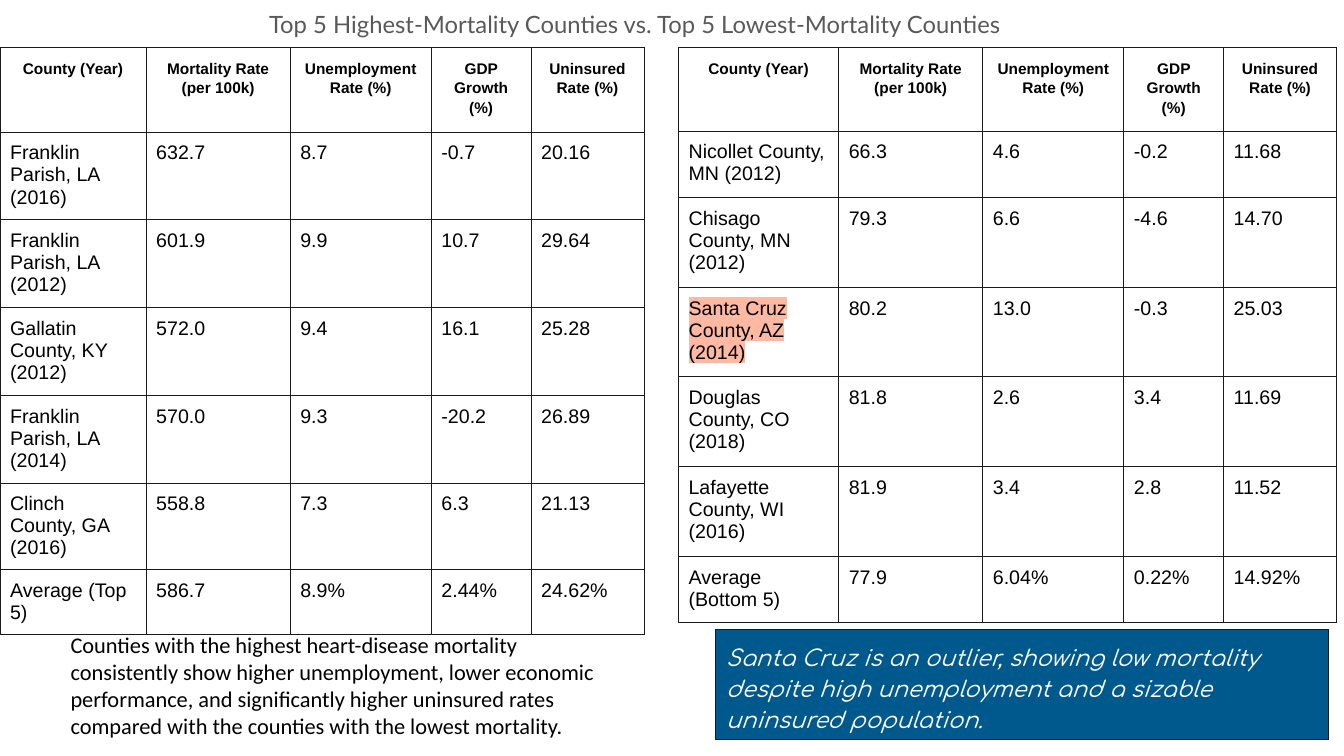
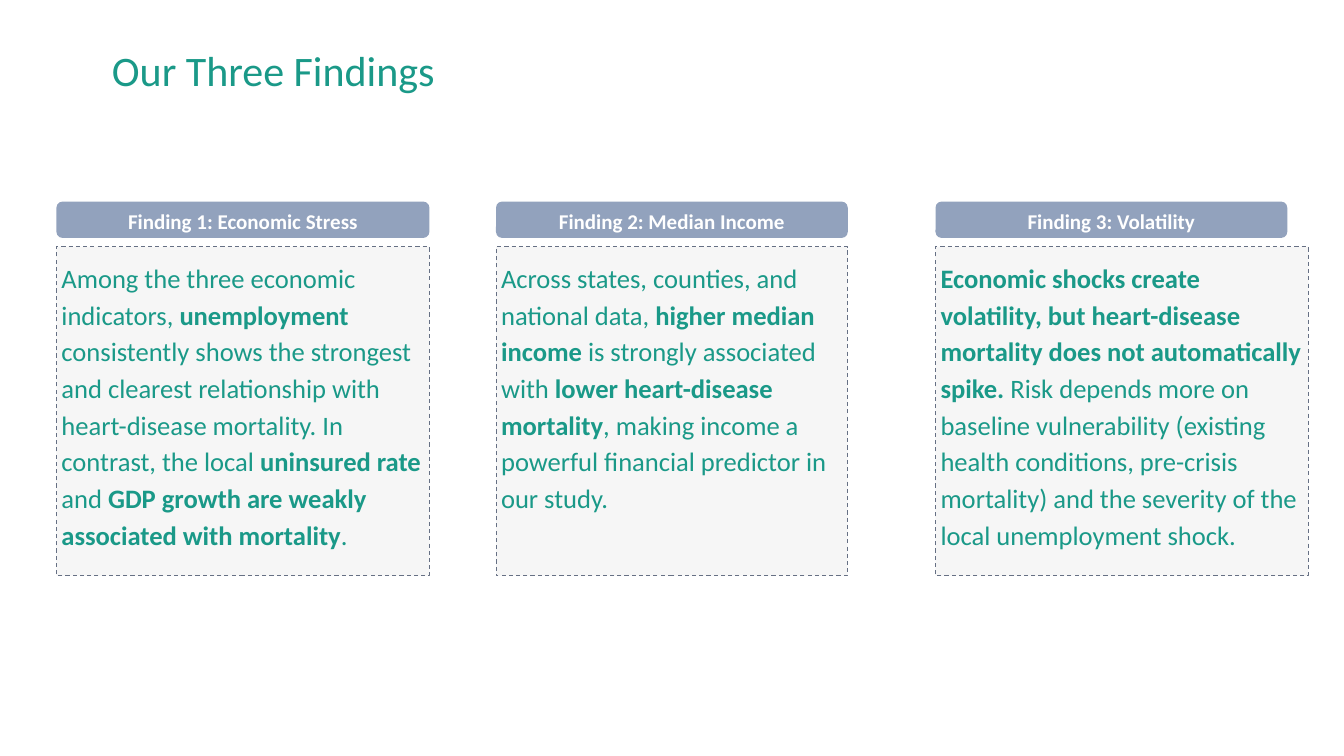
from dataclasses import dataclass

from lxml import etree
from pptx import Presentation
from pptx import util as u
from pptx.dml.color import RGBColor
from pptx.enum import dml, shapes, text
from pptx.oxml.ns import qn

COLUMNS, ROWS = 64, 36


@dataclass(frozen=True)
class Theme:
    ink: str = "000000"
    grey: str = "595959"
    teal: str = "1A9988"
    white: str = "FFFFFF"
    rule: str = "1A1A1A"
    navy: str = "00598D"
    peach: str = "FFB8A2"
    header: str = "92A2BD"
    panel: str = "F2F2F2"
    dash: str = "667084"
    body_font: str = "Calibri"
    table_font: str = "Arial"
    heading_font: str = "Lato"
    accent_font: str = "Comfortaa"
    title: int = 30
    finding: int = 19
    heading: int = 17
    note: int = 16
    label: int = 15
    cell: int = 14
    column_head: int = 11
    line: float = 0.75


def add_colour(parent, tag, colour):
    node = etree.SubElement(parent, qn(tag))
    etree.SubElement(node, qn("a:srgbClr"), val=colour)
    return node


class Deck:
    def __init__(self, theme):
        self.theme = theme
        self.prs = Presentation()
        self.prs.slide_width, self.prs.slide_height = u.Inches(13.33), u.Inches(7.5)
        self.slide = None

    def new_slide(self):
        self.slide = self.prs.slides.add_slide(self.prs.slide_layouts[6])

    def x(self, columns):
        return round(self.prs.slide_width * columns / COLUMNS)

    def y(self, rows):
        return round(self.prs.slide_height * rows / ROWS)

    def box(self, left, top, width, height):
        return self.x(left), self.y(top), self.x(width), self.y(height)

    def set_text(self, tf, content, size, colour, font=None, bold=False, italic=False,
                 align=text.PP_ALIGN.LEFT, spacing=1.0):
        """Fill a text frame; parts between ** marks are bold."""
        tf.word_wrap = True
        p = tf.paragraphs[0]
        p.alignment, p.line_spacing = align, spacing
        for i, part in enumerate(content.split("**")):
            if part:
                r = p.add_run()
                r.text = part
                r.font.size = u.Pt(size)
                r.font.name = font or self.theme.body_font
                r.font.bold = bold or i % 2 == 1
                r.font.italic = italic
                r.font.color.rgb = RGBColor.from_string(colour)
        return p

    def inset(self, tf, left=0.1, top=0.1, right=0.1, bottom=0.1):
        tf.margin_left, tf.margin_top = u.Inches(left), u.Inches(top)
        tf.margin_right, tf.margin_bottom = u.Inches(right), u.Inches(bottom)

    def text_box(self, area, content, size, colour, insets=(), **style):
        tf = self.slide.shapes.add_textbox(*self.box(*area)).text_frame
        self.inset(tf, *insets)
        self.set_text(tf, content, size, colour, **style)
        return tf

    def shape(self, area, fill, kind=shapes.MSO_SHAPE.RECTANGLE, line=None):
        sp = self.slide.shapes.add_shape(kind, *self.box(*area))
        sp.shadow.inherit = False
        sp.fill.solid()
        sp.fill.fore_color.rgb = RGBColor.from_string(fill)
        if line:
            sp.line.color.rgb = RGBColor.from_string(line)
            sp.line.width = u.Pt(self.theme.line)
        else:
            sp.line.fill.background()
        sp.text_frame.vertical_anchor = text.MSO_ANCHOR.TOP
        return sp

    def callout(self, area, content):
        t = self.theme
        tf = self.shape(area, t.navy, line=t.rule).text_frame
        self.inset(tf)
        self.set_text(tf, content, t.note, t.white, font=t.accent_font, italic=True,
                      spacing=1.15)

    def finding(self, left, head_width, body_width, head, body):
        """Draw a label bar with a dashed panel below it."""
        t = self.theme
        panel = self.shape((left, 11.76, body_width, 15.65), t.panel, line=t.dash)
        panel.line.dash_style = dml.MSO_LINE.DASH
        colour = panel._element.spPr.find(qn("a:solidFill"))[0]
        etree.SubElement(colour, qn("a:alpha"), val="69000")
        self.inset(panel.text_frame, 0.05, 0.1, 0.05, 0.05)
        self.set_text(panel.text_frame, body, t.finding, t.teal, spacing=1.15)

        bar = self.shape((left, 9.6, head_width, 1.73), t.header,
                         shapes.MSO_SHAPE.ROUNDED_RECTANGLE)
        self.inset(bar.text_frame, top=0.05, bottom=0.05)
        self.set_text(bar.text_frame, head, t.label, t.white, bold=True,
                      align=text.PP_ALIGN.CENTER)

    def cell_borders(self, cell):
        tc_pr = cell._tc.get_or_add_tcPr()
        for i, side in enumerate("LRTB"):
            ln = etree.Element(qn(f"a:ln{side}"), w=str(int(u.Pt(self.theme.line))))
            add_colour(ln, "a:solidFill", self.theme.rule)
            tc_pr.insert(i, ln)

    def highlight(self, p):
        for r in p.runs:
            r_pr = r._r.get_or_add_rPr()
            mark = add_colour(r_pr, "a:highlight", self.theme.peach)
            r_pr.find(qn("a:solidFill")).addnext(mark)

    def table(self, left, top, widths, heights, records, outlier=None):
        t = self.theme
        area = self.box(left, top, sum(widths), sum(heights))
        table = self.slide.shapes.add_table(len(heights), len(widths), *area).table
        table.first_row = table.horz_banding = False
        for column, width in zip(table.columns, widths):
            column.width = self.x(width)
        for row, height in zip(table.rows, heights):
            row.height = self.y(height)
        for i, record in enumerate(records):
            for j, value in enumerate(record):
                cell = table.cell(i, j)
                self.inset(cell)
                cell.fill.background()
                self.cell_borders(cell)
                if i == 0:
                    self.set_text(cell.text_frame, value, t.column_head, t.ink, t.table_font,
                                  bold=True, align=text.PP_ALIGN.CENTER, spacing=1.15)
                else:
                    p = self.set_text(cell.text_frame, value, t.cell, t.ink, t.table_font)
                    if value == outlier:
                        self.highlight(p)


HEADER = ("County (Year)", "Mortality Rate (per 100k)", "Unemployment Rate (%)",
          "GDP Growth (%)", "Uninsured Rate (%)")
HIGHEST = (
    ("Franklin Parish, LA (2016)", "632.7", "8.7", "-0.7", "20.16"),
    ("Franklin Parish, LA (2012)", "601.9", "9.9", "10.7", "29.64"),
    ("Gallatin County, KY (2012)", "572.0", "9.4", "16.1", "25.28"),
    ("Franklin Parish, LA (2014)", "570.0", "9.3", "-20.2", "26.89"),
    ("Clinch County, GA (2016)", "558.8", "7.3", "6.3", "21.13"),
    ("Average (Top 5)", "586.7", "8.9%", "2.44%", "24.62%"),
)
LOWEST = (
    ("Nicollet County, MN (2012)", "66.3", "4.6", "-0.2", "11.68"),
    ("Chisago County, MN (2012)", "79.3", "6.6", "-4.6", "14.70"),
    ("Santa Cruz County, AZ (2014)", "80.2", "13.0", "-0.3", "25.03"),
    ("Douglas County, CO (2018)", "81.8", "2.6", "3.4", "11.69"),
    ("Lafayette County, WI (2016)", "81.9", "3.4", "2.8", "11.52"),
    ("Average (Bottom 5)", "77.9", "6.04%", "0.22%", "14.92%"),
)
WIDE, NARROW = 17.76, 16.75
FINDINGS = (
    (WIDE, WIDE, "Finding 1: Economic Stress",
     "Among the three economic indicators, **unemployment **consistently shows the strongest "
     "and clearest relationship with heart-disease mortality. In contrast, the local "
     "**uninsured rate** and **GDP growth are weakly associated with mortality**."),
    (NARROW, NARROW, "Finding 2: Median Income",
     "Across states, counties, and national data, **higher median income** is strongly "
     "associated with **lower heart-disease mortality**, making income a powerful financial "
     "predictor in our study."),
    (NARROW, WIDE, "Finding 3: Volatility",
     "**Economic shocks create volatility, but heart-disease mortality does not automatically "
     "spike.** Risk depends more on baseline vulnerability (existing health conditions, "
     "pre-crisis mortality) and the severity of the local unemployment shock."),
)


def county_slide(deck):
    t = deck.theme
    deck.new_slide()
    measures = (6.86, 6.72, 4.75, 5.38)
    deck.table(0, 2.26, (6.96, *measures), (4.03, *[4.18] * 4, 3.12, 3.12),
               (HEADER, *HIGHEST))
    deck.table(32.31, 2.26, (7.63, *measures), (3.98, 3.17, *[4.27] * 4, 3.17),
               (HEADER, *LOWEST), outlier="Santa Cruz County, AZ (2014)")
    deck.text_box((12.34, 0, 41.96, 3.36),
                  "Top 5 Highest-Mortality Counties vs. Top 5 Lowest-Mortality Counties",
                  t.heading, t.grey, font=t.heading_font)
    deck.text_box((0.48, 29.57, 29.76, 6.14),
                  "Counties with the highest heart-disease mortality consistently show higher "
                  "unemployment, lower economic performance, and significantly higher uninsured "
                  "rates compared with the counties with the lowest mortality.",
                  t.note, t.ink, insets=(0.6,))
    deck.callout((34.09, 30, 29.19, 5.23),
                 "Santa Cruz is an outlier, showing low mortality despite high unemployment "
                 "and a sizable uninsured population.")


def findings_slide(deck):
    t = deck.theme
    deck.new_slide()
    tf = deck.text_box((4.42, 0, 55.2, 6.96), "Our Three Findings", t.title, t.teal,
                       insets=(0.19, 0.05, 0.1, 0.05), spacing=0.9)
    tf.vertical_anchor = text.MSO_ANCHOR.MIDDLE
    for i, finding in enumerate(FINDINGS):
        deck.finding(2.69 + 20.93 * i, *finding)


def main():
    deck = Deck(Theme())
    county_slide(deck)
    findings_slide(deck)
    deck.prs.save("out.pptx")


if __name__ == "__main__":
    main()
